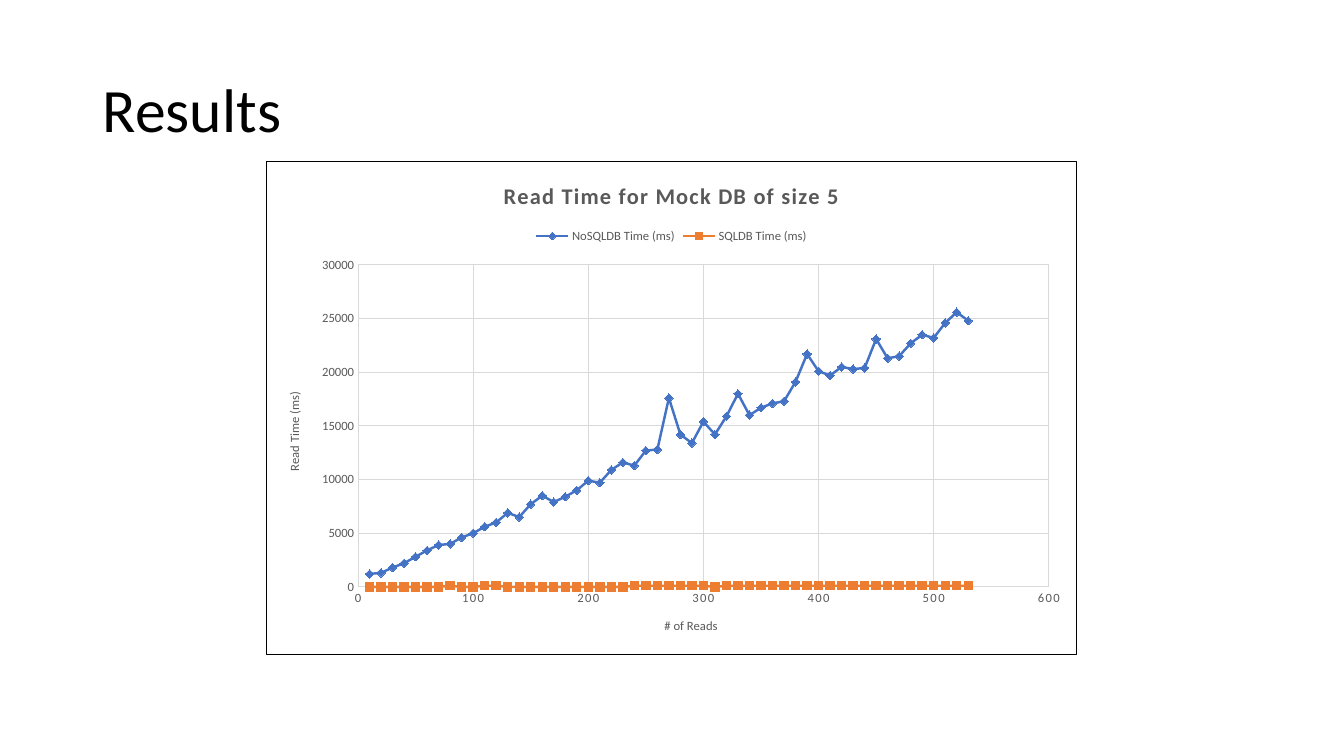
from lxml.etree import SubElement
from pptx import Presentation
from pptx.chart.data import XyChartData
from pptx.dml.color import RGBColor
from pptx.enum.chart import XL_CHART_TYPE, XL_LEGEND_POSITION, XL_MARKER_STYLE, XL_TICK_MARK
from pptx.enum.text import MSO_ANCHOR
from pptx.oxml import parse_xml
from pptx.oxml.ns import nsdecls, qn
from pptx.util import Pt

EMU_PER_PX = 914400 / 100.8
FONT = "Calibri"
COLORS = {
    "black": "000000",
    "text": "595959",
    "grid": "D9D9D9",
    "blue": "4472C4",
    "orange": "ED7D31",
}

READS = range(10, 540, 10)
DOCUMENT_TIMES = [
    1200, 1300, 1800, 2200, 2800, 3400, 3900, 4000, 4600, 5000, 5600,
    6000, 6900, 6500, 7700, 8500, 7900, 8400, 9000, 9900, 9700, 10900,
    11600, 11300, 12700, 12800, 17600, 14200, 13400, 15400, 14200, 15900,
    18000, 16000, 16700, 17100, 17300, 19100, 21700, 20100, 19700, 20500,
    20300, 20400, 23100, 21300, 21500, 22700, 23500, 23200, 24600, 25600, 24800,
]
# Relational reads take about 100 ms at these counts and about 0 elsewhere
SLOW_READS = {80, 110, 120, *range(240, 310, 10), *range(320, 540, 10)}
RELATIONAL_TIMES = [100 if count in SLOW_READS else 0 for count in READS]

SERIES = [
    ("NoSQLDB Time (ms)", DOCUMENT_TIMES, "blue", XL_MARKER_STYLE.DIAMOND),
    ("SQLDB Time (ms)", RELATIONAL_TIMES, "orange", XL_MARKER_STYLE.SQUARE),
]


def px(length):
    return round(length * EMU_PER_PX)


def color(name):
    return RGBColor.from_string(COLORS[name])


def style_font(font, size, name, bold=False):
    font.name = FONT
    font.size = Pt(size)
    font.bold = bold
    font.color.rgb = color(name)


def style_line(line, name, width):
    line.color.rgb = color(name)
    line.width = Pt(width)


def add_span(para, text, size, name, bold=False):
    span = para.add_run()
    span.text = text
    style_font(span.font, size, name, bold)
    return span


def add_title(page, left, top, width, height):
    box = page.shapes.add_textbox(px(left), px(top), px(width), px(height))
    frame = box.text_frame
    frame.word_wrap = True
    frame.vertical_anchor = MSO_ANCHOR.MIDDLE
    para = frame.paragraphs[0]
    para.line_spacing = 0.9
    add_span(para, "Results", 44, "black")


def style_axis(axis, title, maximum, step):
    axis.minimum_scale = 0
    axis.maximum_scale = maximum
    axis.major_unit = step
    axis.major_tick_mark = axis.minor_tick_mark = XL_TICK_MARK.NONE
    axis.has_major_gridlines = True
    style_line(axis.major_gridlines.format.line, "grid", 0.75)
    style_line(axis.format.line, "grid", 0.75)
    style_font(axis.tick_labels.font, 9, "text")
    add_span(axis.axis_title.text_frame.paragraphs[0], title, 9, "text")


def place_plot(chart, left, top, width, height):
    """Fix the inner plot area, given as fractions of the chart."""
    area = chart.plots[0]._element.getparent()
    for layout in area.findall(qn("c:layout")):
        area.remove(layout)
    layout = parse_xml(f"<c:layout {nsdecls('c')}/>")
    area.insert(0, layout)
    manual = SubElement(layout, qn("c:manualLayout"))
    settings = [("layoutTarget", "inner"), ("xMode", "edge"), ("yMode", "edge"),
                ("x", left), ("y", top), ("w", width), ("h", height)]
    for tag, value in settings:
        SubElement(manual, qn(f"c:{tag}")).set("val", str(value))


def add_border(chart):
    border = parse_xml(
        f'<c:spPr {nsdecls("c", "a")}><a:noFill/><a:ln w="{Pt(0.75)}"><a:solidFill>'
        f'<a:srgbClr val="{COLORS["black"]}"/></a:solidFill></a:ln></c:spPr>')
    chart._chartSpace.find(qn("c:chart")).addnext(border)


def add_read_chart(page, left, top, width, height):
    data = XyChartData()
    for name, times, _, _ in SERIES:
        series = data.add_series(name)
        for count, time in zip(READS, times):
            series.add_data_point(count, time)
    chart = page.shapes.add_chart(XL_CHART_TYPE.XY_SCATTER_SMOOTH, px(left), px(top),
                                  px(width), px(height), data).chart
    style_font(chart.font, 10, "black")

    # Title and legend
    chart.has_title = True
    span = add_span(chart.chart_title.text_frame.paragraphs[0],
                    "Read Time for Mock DB of size 5", 16, "text", bold=True)
    span.font._element.set("spc", "100")
    chart.has_legend = True
    chart.legend.position = XL_LEGEND_POSITION.TOP
    chart.legend.include_in_layout = False
    style_font(chart.legend.font, 9, "text")

    # Axes, with wider letter spacing along the bottom
    style_axis(chart.category_axis, "# of Reads", 600, 100)
    style_axis(chart.value_axis, "Read Time (ms)", 30000, 5000)
    chart.category_axis.tick_labels.font._element.set("spc", "100")

    # Series
    plot = chart.plots[0]
    plot.vary_by_categories = False
    for series, (_, _, name, marker) in zip(plot.series, SERIES):
        series.smooth = True
        style_line(series.format.line, name, 1.75)
        series.marker.style = marker
        series.marker.size = 6
        series.marker.format.fill.solid()
        series.marker.format.fill.fore_color.rgb = color(name)
        style_line(series.marker.format.line, name, 0.75)

    place_plot(chart, 0.113, 0.21, 0.853, 0.653)
    add_border(chart)


def main():
    deck = Presentation()
    deck.slide_width, deck.slide_height = px(1344), px(756)
    page = deck.slides.add_slide(deck.slide_layouts[6])
    add_title(page, 93, 40, 1159, 146)
    add_read_chart(page, 266, 161, 811, 494)
    deck.save("out.pptx")


if __name__ == "__main__":
    main()
